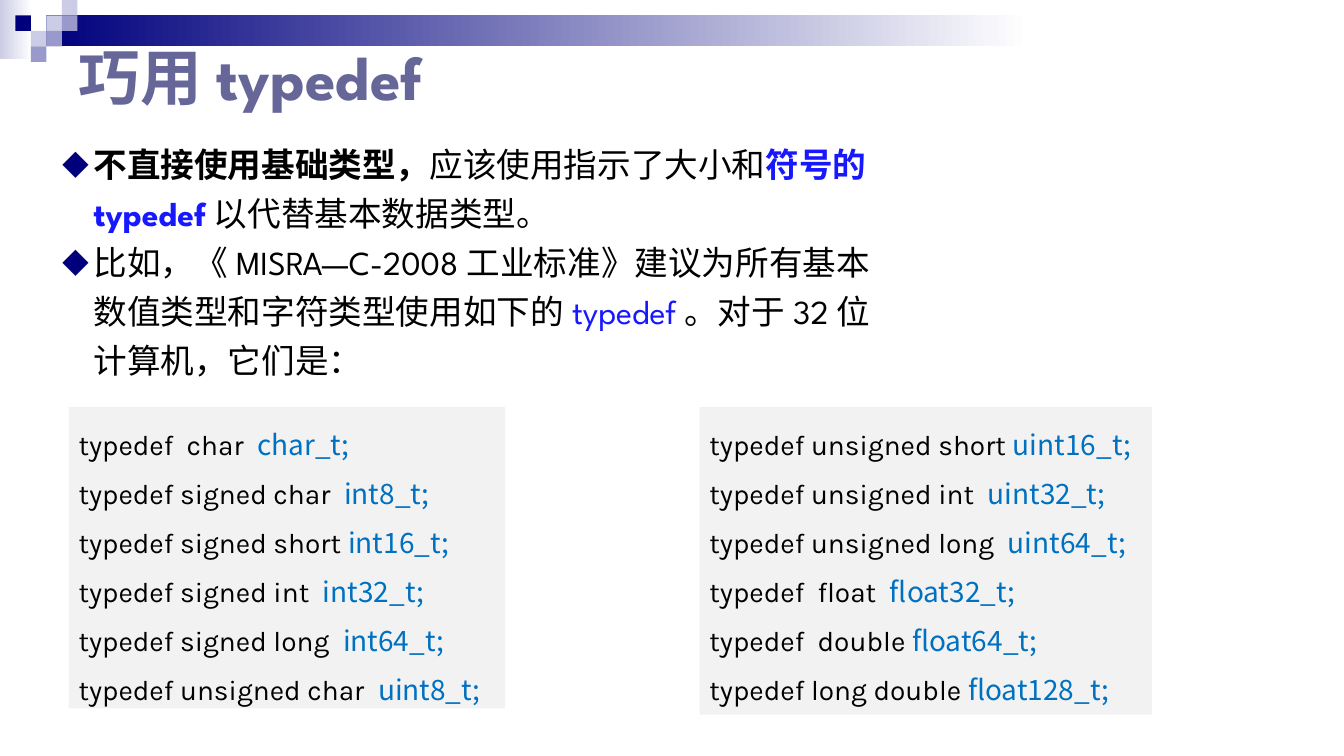
"""Build the slide about using typedef for basic types."""
import dataclasses
import typing

import lxml.etree
import pptx
import pptx.dml.color
import pptx.enum.shapes
import pptx.enum.text
import pptx.oxml.ns
import pptx.util

Cm = pptx.util.Cm
Pt = pptx.util.Pt
qn = pptx.oxml.ns.qn
Anchor = pptx.enum.text.MSO_ANCHOR


@dataclasses.dataclass(frozen=True)
class Theme:
    navy: str = "00007D"
    mid: str = "9999CC"
    pale: str = "CCCCE6"
    white: str = "FFFFFF"
    gray: str = "F2F2F2"
    black: str = "000000"
    head: str = "666699"
    mark: str = "1818FF"
    alias: str = "0070C0"
    han: str = "Noto Sans CJK SC"
    latin: str = "League Spartan"
    code: str = "Karla"
    title: float = 44
    body: float = 24
    small: float = 20
    lead: float = 35


THEME = Theme()


class Box(typing.NamedTuple):
    left: float
    top: float
    width: float
    height: float


class Span(typing.NamedTuple):
    text: str
    font: str = THEME.han
    color: str = THEME.black
    bold: bool = False


class Tile(typing.NamedTuple):
    col: int
    row: int
    color: str


class Band(typing.NamedTuple):
    box: Box
    start: str


class Panel(typing.NamedTuple):
    box: Box
    lines: list[tuple[str, str]]


BANDS = [
    Band(Box(0, 0, 0.81, 1.48), THEME.pale),
    Band(Box(1.17, 0.39, 24.77, 0.76), THEME.navy),
]
CELL = 0.39
TILES = [
    Tile(3, 1, THEME.pale),
    Tile(4, 0, THEME.pale),
    Tile(4, 1, THEME.mid),
    Tile(2, 2, THEME.pale),
    Tile(1, 1, THEME.navy),
    Tile(3, 2, THEME.mid),
    Tile(2, 3, THEME.mid),
]
TITLE = Span("巧用typedef", THEME.latin, THEME.head, True)
POINTS = [
    [
        Span("不直接使用基础类型，", bold=True),
        Span("应该使用指示了大小和"),
        Span("符号的", color=THEME.mark, bold=True),
        Span("typedef", THEME.latin, THEME.mark, True),
        Span("以代替基本数据类型。"),
    ],
    [
        Span("比如，《"),
        Span("MISRA—C-2008", THEME.latin),
        Span("工业标准》建议为所有基本数值类型和字符类型使用如下的"),
        Span("typedef", THEME.latin, THEME.mark),
        Span("。对于"),
        Span("32", THEME.latin),
        Span("位计算机，它们是："),
    ],
]
PANELS = [
    Panel(Box(1.73, 10.26, 11, 7.59), [
        ("typedef  char  ", "char_t;"),
        ("typedef signed char  ", "int8_t;"),
        ("typedef signed short ", "int16_t;"),
        ("typedef signed int  ", "int32_t;"),
        ("typedef signed long  ", "int64_t;"),
        ("typedef unsigned char  ", "uint8_t;"),
    ]),
    Panel(Box(17.63, 10.26, 11.4, 7.75), [
        ("typedef unsigned short ", "uint16_t;"),
        ("typedef unsigned int  ", "uint32_t;"),
        ("typedef unsigned long  ", "uint64_t;"),
        ("typedef  float  ", "float32_t;"),
        ("typedef  double ", "float64_t;"),
        ("typedef long double ", "float128_t;"),
    ]),
]


def tint(code: str) -> pptx.dml.color.RGBColor:
    return pptx.dml.color.RGBColor.from_string(code)


def add_rect(slide, box: Box, color: str):
    rect = slide.shapes.add_shape(
        pptx.enum.shapes.MSO_SHAPE.RECTANGLE, *map(Cm, box))
    rect.shadow.inherit = False
    rect.fill.solid()
    rect.fill.fore_color.rgb = tint(color)
    rect.line.fill.background()
    return rect


def add_band(slide, band: Band) -> None:
    fill = add_rect(slide, band.box, band.start).fill
    fill.gradient()
    fill.gradient_angle = 0
    for stop, color in zip(fill.gradient_stops, (band.start, THEME.white)):
        stop.color.rgb = tint(color)


def add_mark(para) -> None:
    props = para._p.get_or_add_pPr()
    props.set("marL", str(Cm(0.79)))
    props.set("indent", str(Cm(-0.79)))
    color = lxml.etree.SubElement(props, qn("a:buClr"))
    lxml.etree.SubElement(color, qn("a:srgbClr"), val=THEME.navy)
    lxml.etree.SubElement(props, qn("a:buSzPct"), val="80000")
    lxml.etree.SubElement(props, qn("a:buFont"), typeface=THEME.han)
    lxml.etree.SubElement(props, qn("a:buChar"), char="◆")


def add_span(para, span: Span, size: float) -> None:
    run = para.add_run()
    run.text = span.text
    font = run.font
    font.name, font.size, font.bold = span.font, Pt(size), span.bold
    font.color.rgb = tint(span.color)
    lxml.etree.SubElement(
        run._r.get_or_add_rPr(), qn("a:ea"), typeface=THEME.han)


def add_text(shape, rows: list[list[Span]], size: float,
             mark: bool = False) -> None:
    frame = shape.text_frame
    frame.word_wrap = True
    frame.vertical_anchor = Anchor.TOP
    for index, row in enumerate(rows):
        para = frame.add_paragraph() if index else frame.paragraphs[0]
        para.alignment = pptx.enum.text.PP_ALIGN.LEFT
        para.line_spacing = Pt(THEME.lead)
        if mark:
            add_mark(para)
        for span in row:
            add_span(para, span, size)


def add_title(slide) -> None:
    frame = slide.shapes.add_textbox(
        *map(Cm, Box(1.73, 1.02, 21.59, 1.78))).text_frame
    frame.word_wrap = True
    frame.vertical_anchor = Anchor.MIDDLE
    add_span(frame.paragraphs[0], TITLE, THEME.title)


def main() -> None:
    deck = pptx.Presentation()
    deck.slide_width, deck.slide_height = Cm(33.87), Cm(19.05)
    slide = deck.slides.add_slide(deck.slide_layouts[6])
    for band in BANDS:
        add_band(slide, band)
    for tile in TILES:
        box = Box(tile.col * CELL, tile.row * CELL, CELL, CELL)
        add_rect(slide, box, tile.color)
    body = add_rect(slide, Box(1.32, 3.28, 21.01, 6.25), THEME.white)
    body.line.color.rgb = tint(THEME.white)
    body.line.width = Pt(0.75)
    add_text(body, POINTS, THEME.body, mark=True)
    add_title(slide)
    for panel in PANELS:
        rows = [[Span(base, THEME.code), Span(name, color=THEME.alias)]
                for base, name in panel.lines]
        add_text(add_rect(slide, panel.box, THEME.gray), rows, THEME.small)
    deck.save("out.pptx")


if __name__ == "__main__":
    main()
